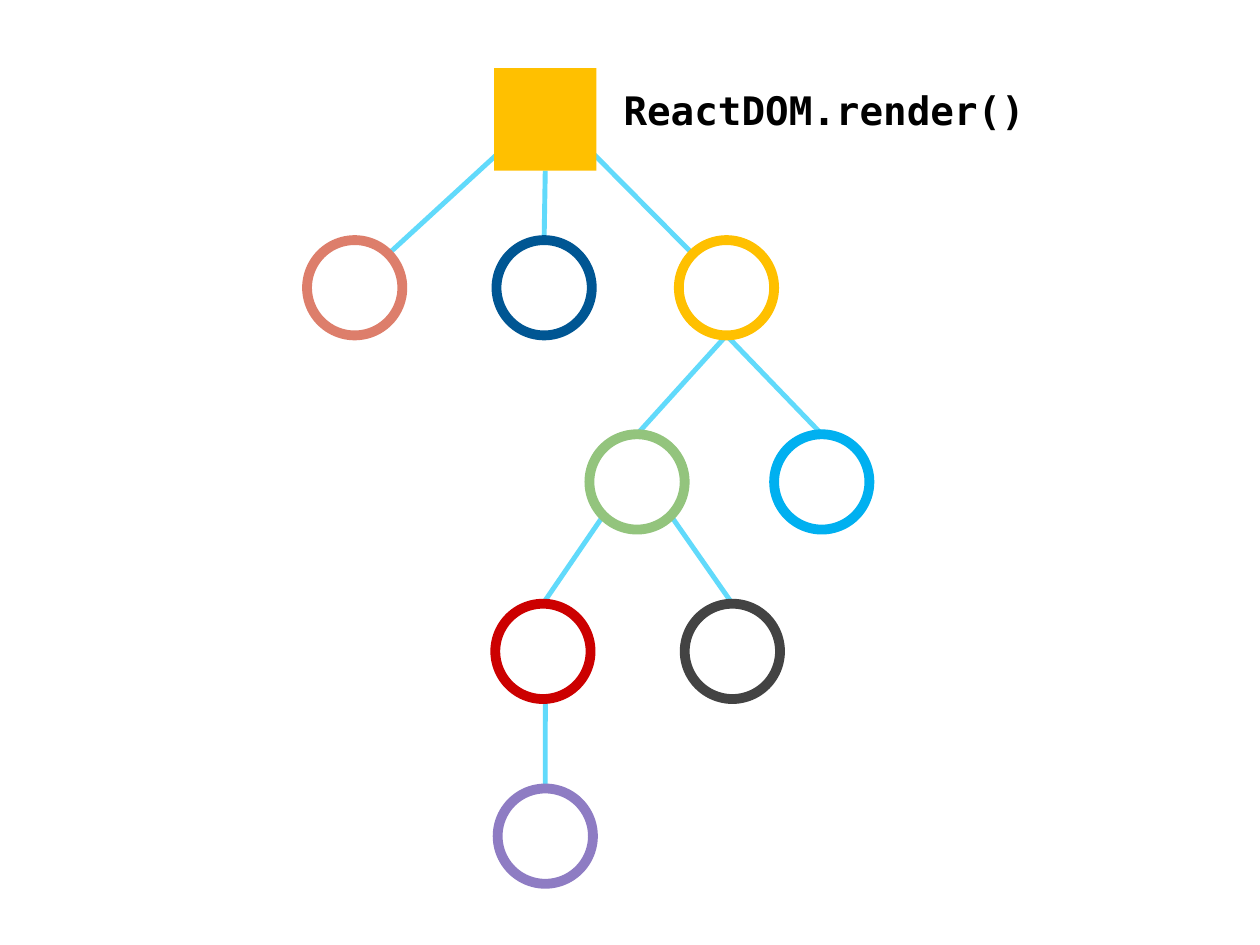
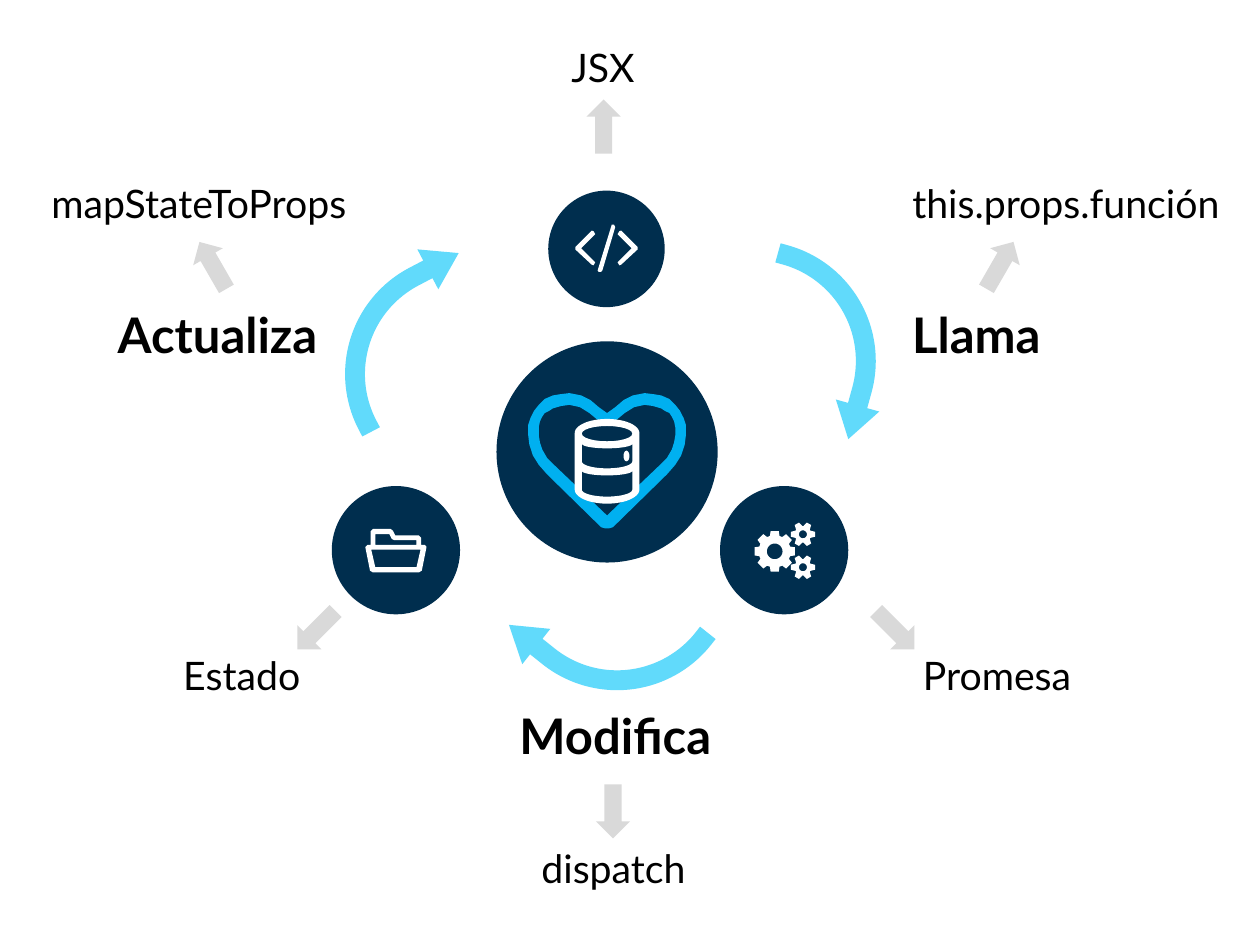
from math import cos, pi, radians, sin

from pptx import Presentation
from pptx.dml.color import RGBColor
from pptx.enum.shapes import MSO_CONNECTOR, MSO_SHAPE
from pptx.enum.text import MSO_ANCHOR, MSO_AUTO_SIZE, PP_ALIGN
from pptx.oxml.ns import qn
from pptx.util import Emu, Inches, Pt

OVAL, RECT = MSO_SHAPE.OVAL, MSO_SHAPE.RECTANGLE
BENT, ARROW = MSO_SHAPE.BENT_ARROW, MSO_SHAPE.RIGHT_ARROW
LINE = MSO_CONNECTOR.STRAIGHT
MID, TOP = MSO_ANCHOR.MIDDLE, MSO_ANCHOR.TOP
LEFT, CENTER = PP_ALIGN.LEFT, PP_ALIGN.CENTER

# Grid of square cells, ten to the inch
COLS, ROWS = 107.1, 80.3
CELL = Inches(0.1)

BLACK, WHITE, GREY = "000000", "FFFFFF", "D9D9D9"
SKY, BLUE, NAVY, GOLD = "61DAFB", "00B0F0", "002E4E", "FFC000"


def rgb(code):
    return RGBColor.from_string(code)


def cells(*sizes):
    return [Emu(round(size * CELL)) for size in sizes]


# Outlines, as lists of points around a centre
def mirror(points):
    return [(-x, y) for x, y in reversed(points)]


def arc(x, y, wide, high, start=0, end=360, steps=24):
    turns = [radians(start + (end - start) * i / steps) for i in range(steps + 1)]
    return [(x + wide * cos(t), y + high * sin(t)) for t in turns]


def gear(x, y, teeth, tip, root, hole, base):
    rim = []
    for i in range(teeth):
        for dist, turn in ((root, -base), (tip, -0.2), (tip, 0.2), (root, base)):
            angle = 2 * pi * i / teeth + turn
            rim.append((x + dist * cos(angle), y + dist * sin(angle)))
    return [rim, arc(x, y, hole, hole)]


def band(top, low):
    return arc(0, low, 2.15, 0.6, 0, 180) + arc(0, top, 2.15, 0.4, 180, 0)


class Deck:
    """Holds the style and the current slide."""
    font, size, ink = "Lato", 24, BLACK

    def __init__(self):
        self.show = Presentation()
        self.show.slide_width, self.show.slide_height = cells(COLS, ROWS)

    def page(self):
        self.slide = self.show.slides.add_slide(self.show.slide_layouts[5])
        self.shapes = self.slide.shapes

    def paint(self, shape, fill, line=None, width=6):
        shape.shadow.inherit = False
        shape.fill.solid()
        shape.fill.fore_color.rgb = rgb(fill)
        if line:
            shape.line.color.rgb = rgb(line)
            shape.line.width = Pt(width)
        else:
            shape.line.fill.background()

    def shape(self, kind, x, y, wide, high, fill, line=None, turn=0, adjust=()):
        """A preset shape around a centre."""
        box = cells(x - wide / 2, y - high / 2, wide, high)
        shape = self.shapes.add_shape(kind, *box)
        self.paint(shape, fill, line)
        shape.rotation = turn
        for i, value in enumerate(adjust):
            shape.adjustments[i] = value

    def link(self, start, end):
        line = self.shapes.add_connector(LINE, *cells(*start, *end))
        line.line.color.rgb = rgb(SKY)
        line.line.width = Pt(3)
        props = line._element.spPr
        props.append(props.makeelement(qn("a:effectLst"), {}))

    def icon(self, x, y, loops, fill=WHITE):
        """One free outline; inner loops are holes."""
        build = None
        for loop in loops:
            points = [cells(x + dx, y + dy) for dx, dy in loop]
            if build is None:
                build = self.shapes.build_freeform(*points[0], scale=1.0)
            else:
                build.move_to(*points[0])
            build.add_line_segments(points[1:], close=True)
        self.paint(build.convert_to_shape(), fill)

    def text(self, words, x, y, wide, high, title=False, size=None, font=None,
             bold=False, align=CENTER, anchor=MID, inset=0, space=0.9):
        box = cells(x, y, wide, high)
        if title:
            item = self.shapes.title
            item.left, item.top, item.width, item.height = box
        else:
            item = self.shapes.add_textbox(*box)
        frame = item.text_frame
        frame.word_wrap = True
        frame.auto_size = MSO_AUTO_SIZE.NONE
        frame.vertical_anchor = anchor
        frame.margin_left = frame.margin_right = cells(inset)[0]
        frame.margin_top = frame.margin_bottom = cells(inset)[0]
        para = frame.paragraphs[0]
        para.alignment, para.line_spacing = align, space
        run = para.add_run()
        run.text = words
        run.font.name, run.font.size = font or self.font, Pt(size or self.size)
        run.font.bold, run.font.color.rgb = bold, rgb(self.ink)


# Component tree: centre and colour of each node
NODE, ROOT = 8.1, 8.7
LEVELS = (24.45, 40.95, 55.35, 71.05)
NODES = {
    "rose": (30.15, LEVELS[0], "DD7E6B"),
    "navy": (46.25, LEVELS[0], "005693"),
    "gold": (61.75, LEVELS[0], GOLD),
    "green": (54.15, LEVELS[1], "93C47D"),
    "blue": (69.85, LEVELS[1], BLUE),
    "red": (46.15, LEVELS[2], "CC0000"),
    "dark": (62.25, LEVELS[2], "434343"),
    "plum": (46.35, LEVELS[3], "8E7CC3"),
    "root": (46.35, 10.15, GOLD),
}
# Parent, exit and child, entry; sides are shares of the radius
N, S = (0, -1), (0, 1)
NW, NE, SW, SE = (-0.71, -0.71), (0.71, -0.71), (-0.71, 0.71), (0.71, 0.71)
LINKS = (
    ("root", (-0.82, 0.57), "rose", NE), ("root", S, "navy", N),
    ("root", (0.93, 0.66), "gold", NW),
    ("gold", S, "green", N), ("gold", S, "blue", N),
    ("green", SW, "red", N), ("green", SE, "dark", N),
    ("red", (0.05, 1), "plum", N),
)


def rim(name, side):
    x, y, _ = NODES[name]
    half = (ROOT if name == "root" else NODE) / 2
    return x + side[0] * half, y + side[1] * half


def tree(deck):
    deck.page()
    deck.text("ReactDOM.render()", 52, 6.3, 38.8, 6.1, title=True, bold=True,
              font="DejaVu Sans Mono", align=LEFT, anchor=TOP, inset=1, space=1)
    for parent, out, child, side in LINKS:
        deck.link(rim(parent, out), rim(child, side))
    for name, (x, y, tone) in NODES.items():
        if name == "root":
            deck.shape(RECT, x, y, ROOT, ROOT, tone)
        else:
            deck.shape(OVAL, x, y, NODE, NODE, WHITE, tone)


# Data cycle: icons
EDGE = [(-1.25, -1.55), (-2.65, -0.15), (-2.65, 0.05), (-1.25, 1.35), (-1.1, 1.4),
        (-0.95, 1.15), (-2.15, -0.05), (-0.95, -1.25), (-1.1, -1.5)]
SLASH = [(0.45, -2.05), (-0.75, 1.85), (-0.65, 1.95), (-0.45, 1.95), (-0.35, 1.85),
         (0.75, -1.85), (0.65, -2.05)]
CODE = [EDGE, mirror(EDGE), SLASH]
FOLDER = [
    [(2.6, -0.3), (2.45, -0.45), (2.15, -0.45), (2.15, -1.05), (1.95, -1.25),
     (-0.05, -1.25), (-0.25, -1.65), (-0.45, -1.8), (-1.95, -1.8), (-2.15, -1.6),
     (-2.15, -0.45), (-2.4, -0.45), (-2.6, -0.25), (-2.2, 1.75), (-1.95, 1.9),
     (1.95, 1.9), (2.2, 1.75), (2.6, -0.25)],
    [(-1.75, -1.35), (-0.55, -1.35), (-0.35, -0.95), (-0.15, -0.85), (1.75, -0.85),
     (1.75, -0.45), (-1.75, -0.45)],
    [(1.75, 1.45), (-1.75, 1.45), (-2.1, -0.05), (2.1, -0.05)],
]
GEARS = gear(-0.8, 0.1, 8, 1.75, 1.37, 0.67, 0.3)
for level in (-1.35, 1.45):
    GEARS += gear(1.6, level, 6, 1.05, 0.7, 0.34, 0.46)
OUTER = [(0.15, 6.5), (0.5, 6.4), (5.1, 1.9), (5.8, 1.1), (6.3, 0.3), (6.6, -0.6),
         (6.7, -1.4), (6.7, -2.3), (6.5, -2.9), (6.2, -3.5), (5.8, -4), (5.3, -4.5),
         (4.6, -4.8), (4, -4.9), (3.2, -5), (2.2, -4.8), (1.4, -4.4), (0.7, -3.8),
         (0, -3.3)]
INNER = [(0, 5.4), (4.4, 1.2), (5.1, 0.5), (5.5, -0.2), (5.7, -0.8), (5.8, -1.4),
         (5.8, -2.1), (5.7, -2.6), (5.5, -3), (5.3, -3.3), (4.9, -3.5), (4.6, -3.7),
         (3.9, -3.9), (3.2, -4), (2.3, -3.8), (1.5, -3.3), (0.9, -2.8), (0.4, -2.4),
         (0, -2.2)]
HEART = [half + mirror(half) for half in (OUTER, INNER)]
BARREL = [
    arc(0, -1.6, 2.75, 1.2, 180, 360) + arc(0, 3.2, 2.75, 1.2, 0, 180),
    arc(0, -1.55, 2.15, 0.65), band(-0.7, 0.8), band(1.6, 3.2),
    arc(1.65, 0.35, 0.25, 0.45),
]
# Discs: centre, width, layers of icon and colour
DISCS = (
    (51.55, 21.15, 9.9, [(CODE, WHITE)]),
    (33.65, 46.75, 10.9, [(FOLDER, WHITE)]),
    (66.65, 46.75, 10.9, [(GEARS, WHITE)]),
    (51.6, 38.4, 18.8, [(HEART, BLUE), (BARREL, WHITE)]),
)
# Arrows: centre and turn
BENDS = ((70.15, 29.25, 105.5), (51.45, 54.45, 218.5), (34.45, 28.45, 332.3))
HINTS = ((51.3, 10.75, 270), (85, 22.55, 300), (76.1, 53.55, 45),
         (52.1, 68.95, 90), (26.9, 53.55, 135), (18.1, 22.55, 240.1))
# Labels: left, top, width
STEPS = (("Llama", 75, 25.9, 16), ("Modifica", 39.7, 60, 25.2),
         ("Actualiza", 8.7, 25.9, 19.6))
NOTES = (("JSX", 45.8, 3.2, 10.9), ("this.props.función", 77, 14.7, 27.2),
         ("Promesa", 77.1, 54.8, 15.3), ("dispatch", 44.5, 71.2, 15.3),
         ("Estado", 12.9, 54.8, 15.3), ("mapStateToProps", 3.3, 14.7, 27.2))


def cycle(deck):
    deck.page()
    for x, y, turn in BENDS:
        deck.shape(BENT, x, y, 14.5, 11.9, SKY, turn=turn,
                   adjust=(0.142, 0.161, 0.249, 0.857))
    for x, y, turn in HINTS:
        deck.shape(ARROW, x, y, 4.6, 2.9, GREY, turn=turn)
    for words, x, y, wide in NOTES:
        deck.text(words, x, y, wide, 5.5, title=words == "JSX")
    for words, x, y, wide in STEPS:
        deck.text(words, x, y, wide, 5.5, size=30, bold=True)
    for x, y, wide, layers in DISCS:
        deck.shape(OVAL, x, y, wide, wide, NAVY)
        for loops, tone in layers:
            deck.icon(x, y, loops, tone)


def main():
    deck = Deck()
    tree(deck)
    cycle(deck)
    deck.show.save("out.pptx")


if __name__ == "__main__":
    main()
